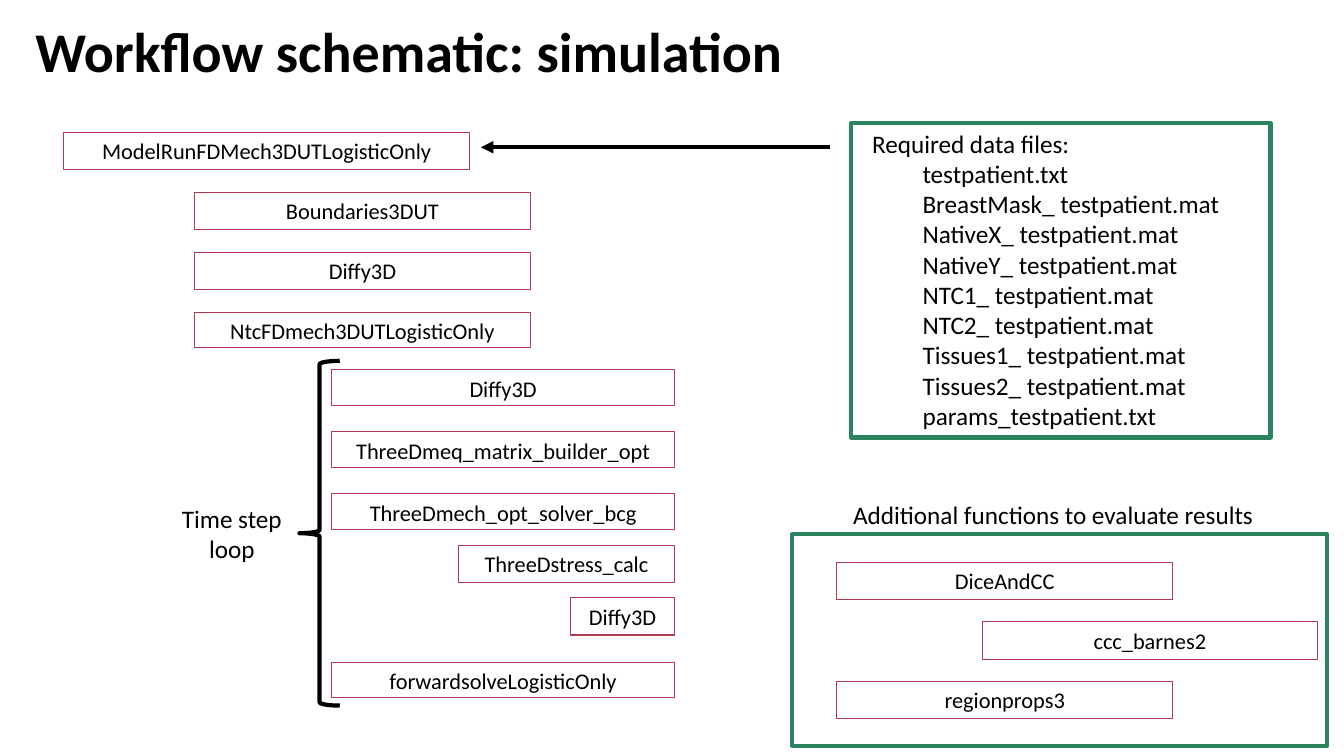
from lxml.etree import SubElement
from pptx import Presentation
from pptx.dml.color import RGBColor
from pptx.enum.shapes import MSO_CONNECTOR, MSO_SHAPE
from pptx.enum.text import MSO_ANCHOR, MSO_AUTO_SIZE, PP_ALIGN
from pptx.oxml.ns import qn
from pptx.util import Inches, Pt

BLACK = RGBColor(0x00, 0x00, 0x00)
CRIMSON = RGBColor(0xB1, 0x3B, 0x52)
GREEN = RGBColor(0x2C, 0x83, 0x60)
SLIDE_WIDTH, SLIDE_HEIGHT = Inches(13.33), Inches(7.5)

BOX_FONT = {"name": "Calibri", "size": Pt(16)}
LABEL_FONT = {"name": "Calibri", "size": Pt(18)}
TITLE_FONT = {"name": "Calibri", "size": Pt(40), "bold": True}
CENTERED = {"alignment": PP_ALIGN.CENTER}
TITLE_LAYOUT = {"alignment": PP_ALIGN.LEFT, "line_spacing": 0.9}
LIST_LAYOUT = {"alignment": PP_ALIGN.LEFT, "line_spacing": 1.0,
               "space_before": Pt(0), "space_after": Pt(0)}

# Positions and sizes are percentages of the slide: left, top, width, height.
TALL, SHORT = 4.93, 4.67
SETUP_TOP, SETUP_STEP = 17.47, 7.95
LOOP_TOP, LOOP_STEP = 48.93, 8.2
RESULT_TOP, RESULT_STEP = 74.4, 7.87

SETUP = [
    ("ModelRunFDMech3DUTLogisticOnly", 4.73, 30.23, TALL),
    ("Boundaries3DUT", 14.48, 24.98, TALL),
    ("Diffy3D", 14.48, 24.98, TALL),
    ("NtcFDmech3DUTLogisticOnly", 14.48, 24.98, SHORT),
]
LOOP = [(name, 24.68, 25.51, SHORT) for name in (
    "Diffy3D", "ThreeDmeq_matrix_builder_opt", "ThreeDmech_opt_solver_bcg")]
RESULTS = [
    ("DiceAndCC", 62.27, 24.98, TALL),
    ("ccc_barnes2", 73.07, 24.98, TALL),
    ("regionprops3", 62.27, 24.98, TALL),
]
LOOP_END = [
    ("ThreeDstress_calc", (34.13, 72.13, 16.05, TALL)),
    ("Diffy3D", (42.46, 79.07, 7.73, TALL)),
    ("forwardsolveLogisticOnly", (24.68, 87.6, 25.51, SHORT)),
]
DATA_FILES = [
    "testpatient.txt",
    *(f"{stem}_ testpatient.mat" for stem in (
        "BreastMask", "NativeX", "NativeY", "NTC1", "NTC2", "Tissues1", "Tissues2")),
    "params_testpatient.txt",
]


def across(percent):
    return round(SLIDE_WIDTH * percent / 100)


def down(percent):
    return round(SLIDE_HEIGHT * percent / 100)


def area(left, top, width, height):
    return across(left), down(top), across(width), down(height)


def apply(target, values):
    for name, value in values.items():
        setattr(target, name, value)


def write(frame, lines, font, layout):
    """Fill a text frame with one formatted paragraph per line."""
    apply(frame, {"word_wrap": True, "auto_size": MSO_AUTO_SIZE.NONE})
    for index, line in enumerate(lines):
        para = frame.add_paragraph() if index else frame.paragraphs[0]
        apply(para, layout)
        span = para.add_run()
        span.text = line
        apply(span.font, font)
        span.font.color.rgb = BLACK


def set_outline(shape, color, points):
    shape.line.color.rgb = color
    shape.line.width = Pt(points)


def add_label(page, lines, place, font=LABEL_FONT):
    box = page.shapes.add_textbox(*area(*place))
    write(box.text_frame, lines, font, CENTERED)
    return box


def add_function(page, name, place):
    set_outline(add_label(page, [name], place, BOX_FONT), CRIMSON, 0.75)


def add_function_column(page, functions, top, step):
    for row, (name, left, width, height) in enumerate(functions):
        add_function(page, name, (left, top + row * step, width, height))


def add_outline_shape(page, kind, place, color):
    shape = page.shapes.add_shape(kind, *area(*place))
    shape.shadow.inherit = False
    shape.fill.background()
    set_outline(shape, color, 3)


def add_arrow(page, start, end, height):
    arrow = page.shapes.add_connector(
        MSO_CONNECTOR.STRAIGHT, across(start), down(height), across(end), down(height))
    set_outline(arrow, BLACK, 3)
    SubElement(arrow.line._get_or_add_ln(), qn("a:tailEnd"), type="triangle")
    SubElement(arrow._element.spPr, qn("a:effectLst"))


def place_holder(holder, place):
    left, top, width, height = area(*place)
    apply(holder, {"left": left, "top": top, "width": width, "height": height})


def add_title(page, text):
    title = page.shapes.title
    place_holder(title, (1.88, -22.8, 89.35, 60))
    title.text_frame.vertical_anchor = MSO_ANCHOR.MIDDLE
    write(title.text_frame, [text], TITLE_FONT, TITLE_LAYOUT)


def add_data_files(page):
    body = page.placeholders[1]
    place_holder(body, (64.14, 16.27, 30.38, 53.87))
    write(body.text_frame, ["Required data files:", *DATA_FILES], LABEL_FONT, LIST_LAYOUT)
    for index, para in enumerate(body.text_frame.paragraphs):
        para.level = min(index, 1)
        properties = para._p.get_or_add_pPr()
        properties.set("marL", str(Inches(0.5) * para.level))
        properties.set("indent", "0")
        SubElement(properties, qn("a:buNone"))


def main():
    deck = Presentation()
    apply(deck, {"slide_width": SLIDE_WIDTH, "slide_height": SLIDE_HEIGHT})
    page = deck.slides.add_slide(deck.slide_layouts[1])
    add_title(page, "Workflow schematic: simulation")

    add_function_column(page, SETUP, SETUP_TOP, SETUP_STEP)
    add_function_column(page, LOOP, LOOP_TOP, LOOP_STEP)
    for name, place in LOOP_END:
        add_function(page, name, place)
    add_outline_shape(page, MSO_SHAPE.LEFT_BRACE, (22.28, 47.73, 3, 45.6), BLACK)
    add_label(page, ["Time step", "loop"], (7.95, 65.87, 18.6, 9.47))

    add_data_files(page)
    add_outline_shape(page, MSO_SHAPE.RECTANGLE, (63.32, 16.27, 31.21, 41.6), GREEN)
    add_arrow(page, 61.74, 35.78, 19.47)

    add_label(page, ["Additional functions to evaluate results"], (60.62, 65.33, 35.48, 5.33))
    add_outline_shape(page, MSO_SHAPE.RECTANGLE, (58.96, 70.67, 39.76, 28), GREEN)
    add_function_column(page, RESULTS, RESULT_TOP, RESULT_STEP)
    deck.save("out.pptx")


if __name__ == "__main__":
    main()
